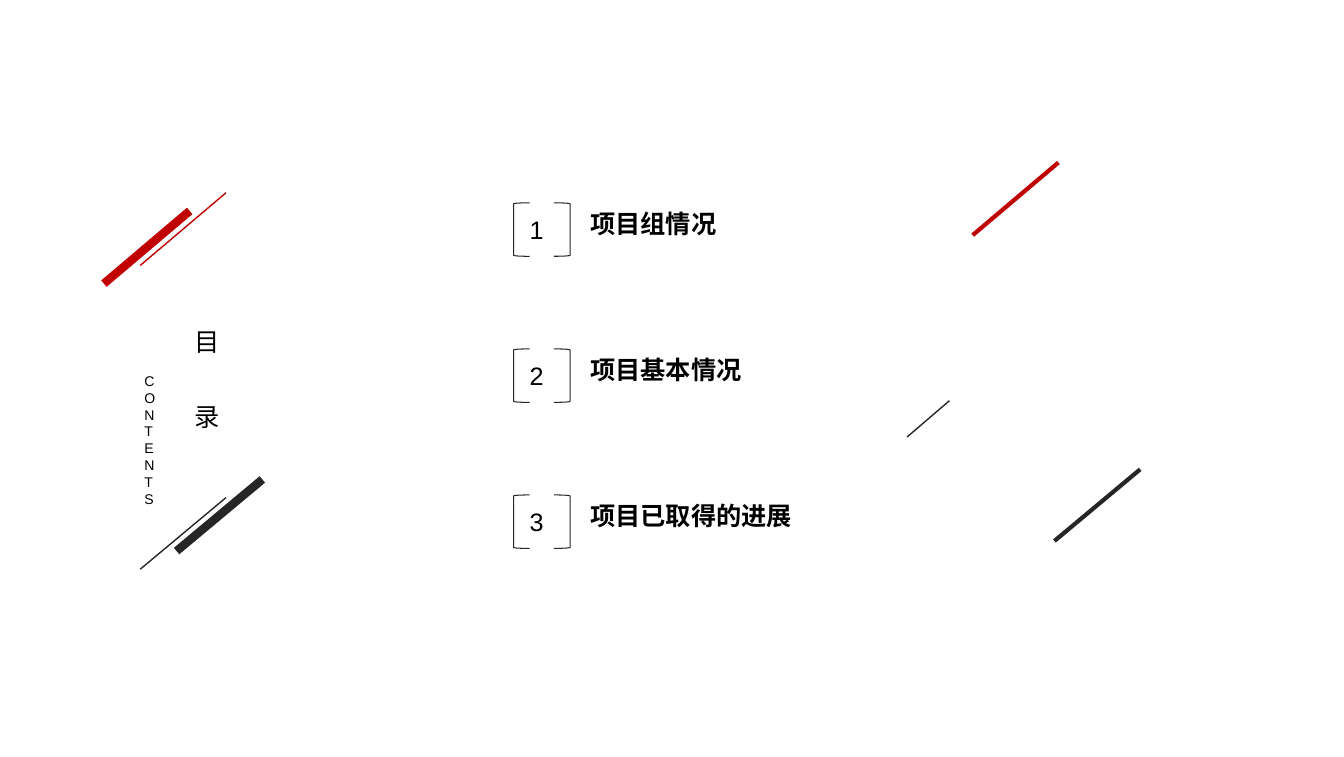
from lxml import etree
from pptx import Presentation
from pptx import util as u
from pptx.dml.color import RGBColor
from pptx.enum import shapes, text
from pptx.oxml.ns import qn

COLORS = {"red": "C00000", "dark": "262626", "black": "000000"}
LATIN, CHINESE = "Arial", "Noto Sans CJK SC"
CHAPTERS = ["项目组情况", "项目基本情况", "项目已取得的进展"]
CHAPTER_TOP, CHAPTER_STEP = 2.01, 1.447
STROKES = [
    ((1.88, 2.09), (1.03, 2.81), "red", 6),
    ((2.24, 1.91), (1.39, 2.63), "red", 1),
    ((1.75, 5.46), (2.6, 4.75), "dark", 6),
    ((1.39, 5.64), (2.24, 4.93), "dark", 1),
    ((10.49, 1.61), (9.64, 2.33), "red", 3),
    ((9.41, 3.97), (8.99, 4.33), "dark", 1),
    ((11.3, 4.65), (10.45, 5.36), "dark", 3),
]


def write_text(shape, content, font=LATIN, size=18, bold=False, spacing=1.0, wrap=False):
    """Fill a shape with left-aligned text, one paragraph per line."""
    frame = shape.text_frame
    frame.text = content
    frame.word_wrap = wrap
    frame.auto_size = text.MSO_AUTO_SIZE.SHAPE_TO_FIT_TEXT
    frame.vertical_anchor = text.MSO_ANCHOR.TOP
    frame.margin_left = frame.margin_right = u.Inches(0.05)
    frame.margin_top = frame.margin_bottom = u.Inches(0.05)
    for paragraph in frame.paragraphs:
        paragraph.alignment = text.PP_ALIGN.LEFT
        paragraph.line_spacing = spacing
        paragraph.space_before = u.Pt(0)
        for run in paragraph.runs:
            run.font.name = font
            run.font.size = u.Pt(size)
            run.font.bold = bold
            run.font.color.rgb = RGBColor.from_string(COLORS["black"])
            east_asian = etree.SubElement(run.font._element, qn("a:ea"))
            east_asian.set("typeface", font)


class ContentsSlide:
    """Holds the current slide and draws its elements in one style."""

    def __init__(self, presentation):
        self.slide = presentation.slides.add_slide(presentation.slide_layouts[5])

    def style_line(self, line, color, width):
        """Set the colour and width of a line."""
        line.color.rgb = RGBColor.from_string(COLORS[color])
        line.width = u.Pt(width)

    def title(self, content, left, top, width, height, **style):
        """Place and format the title placeholder."""
        shape = self.slide.shapes.title
        shape.left, shape.top = u.Inches(left), u.Inches(top)
        shape.width, shape.height = u.Inches(width), u.Inches(height)
        write_text(shape, content, **style)

    def label(self, content, left, top, width, height, **style):
        """Add a text box."""
        box = map(u.Inches, (left, top, width, height))
        write_text(self.slide.shapes.add_textbox(*box), content, **style)

    def stroke(self, start, end, color, width):
        """Add a straight line."""
        points = map(u.Inches, (*start, *end))
        connector = self.slide.shapes.add_connector(shapes.MSO_CONNECTOR.STRAIGHT, *points)
        self.style_line(connector.line, color, width)
        etree.SubElement(connector._element.spPr, qn("a:effectLst"))

    def bracket(self, kind, left, top):
        """Add one thin square bracket."""
        box = map(u.Inches, (left, top, 0.16, 0.53))
        shape = self.slide.shapes.add_shape(kind, *box)
        shape.adjustments[0] = 0.06
        shape.shadow.inherit = False
        shape.fill.background()
        self.style_line(shape.line, "dark", 0.75)

    def chapter(self, number, name, top):
        """Add a bracketed number with its chapter name."""
        self.label(str(number), 5.2, top + 0.06, 0.25, 0.38)
        self.bracket(shapes.MSO_SHAPE.LEFT_BRACKET, 5.09, top)
        self.bracket(shapes.MSO_SHAPE.RIGHT_BRACKET, 5.49, top)
        self.label(name, 5.8, top, 0.1 + 0.25 * len(name), 0.4, font=CHINESE, bold=True)


def main():
    """Build the contents slide and save it."""
    presentation = Presentation()
    presentation.slide_width = u.Inches(13.32)
    presentation.slide_height = u.Inches(7.5)
    contents = ContentsSlide(presentation)
    contents.title("目\n录", 1.88, 2.73, 0.43, 1.32, font=CHINESE, spacing=2.5)
    contents.label("CONTENTS", 1.38, 3.64, 0.25, 1.32, size=10, wrap=True)
    for stroke in STROKES:
        contents.stroke(*stroke)
    for index, name in enumerate(CHAPTERS):
        contents.chapter(index + 1, name, CHAPTER_TOP + index * CHAPTER_STEP)
    presentation.save("out.pptx")


if __name__ == "__main__":
    main()
